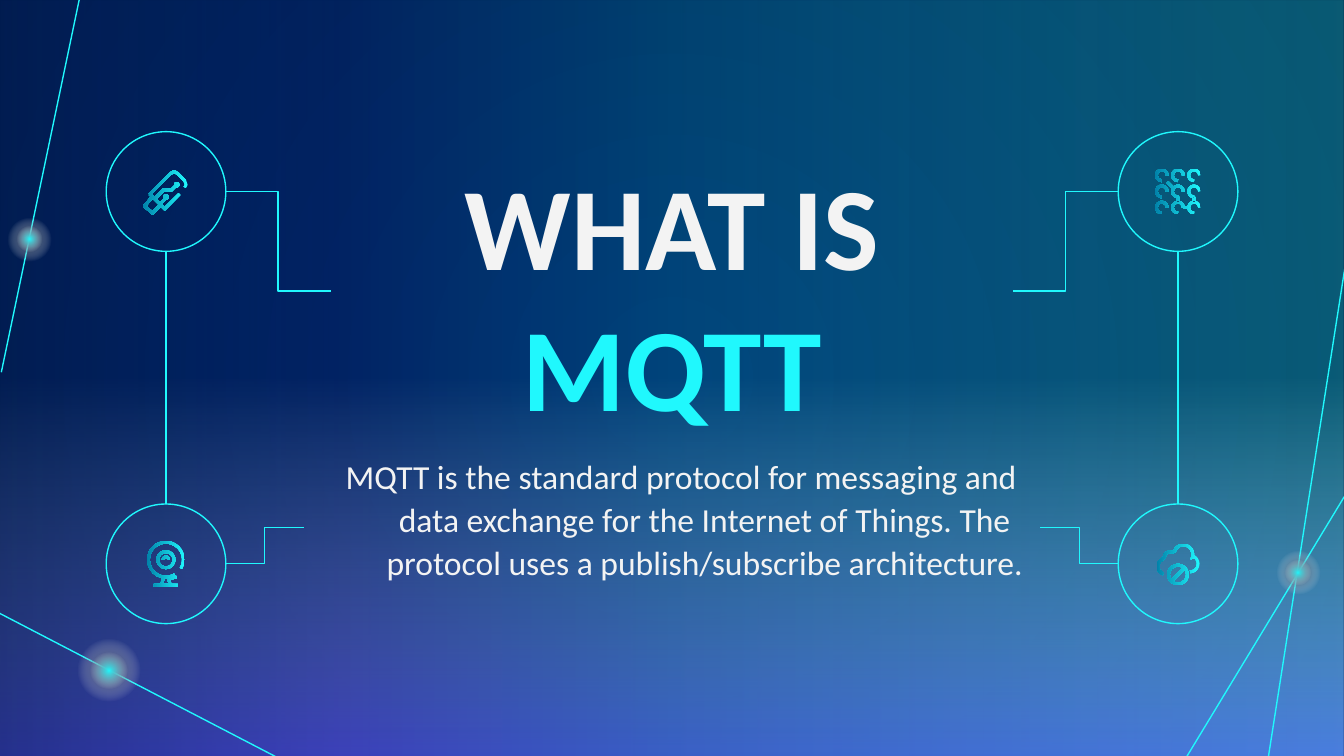
import math
import lxml.etree
import pptx
import pptx.dml.color
import pptx.enum.shapes
import pptx.enum.text
import pptx.oxml.ns
import pptx.util
from pptx.util import Inches

qn = pptx.oxml.ns.qn
RGB = pptx.dml.color.RGBColor
OVAL = pptx.enum.shapes.MSO_SHAPE.OVAL
RECT = pptx.enum.shapes.MSO_SHAPE.RECTANGLE
LINE = pptx.enum.shapes.MSO_CONNECTOR.STRAIGHT
ELBOW = pptx.enum.shapes.MSO_CONNECTOR.ELBOW
WIDE, TALL = 10, 10 * 9 / 16


class Theme:
    cyan, teal, navy, night = "20F8FD", "0182AA", "012060", "00183A"
    white, blue, violet, deep = "F3F3F3", "748BFF", "7659FF", "022E88"
    font = "Calibri"
    head, body = 63, 18
    thin = 0.75


def blend(node, stops, angle=None):
    """Swap the solid fill in node for a gradient; without angle it is radial."""
    grad = lxml.etree.Element(qn("a:gradFill"), rotWithShape="1")
    row = lxml.etree.SubElement(grad, qn("a:gsLst"))
    for pos, tint, alpha in stops:
        stop = lxml.etree.SubElement(row, qn("a:gs"), pos=str(pos * 1000))
        clr = lxml.etree.SubElement(stop, qn("a:srgbClr"), val=tint)
        if alpha < 100:
            lxml.etree.SubElement(clr, qn("a:alpha"), val=str(alpha * 1000))
    if angle is None:
        way = lxml.etree.SubElement(grad, qn("a:path"), path="circle")
        lxml.etree.SubElement(way, qn("a:fillToRect"),
                              {side: "50000" for side in "ltrb"})
    else:
        lxml.etree.SubElement(grad, qn("a:lin"), ang=str(angle * 60000), scaled="0")
    node.replace(node.find(qn("a:solidFill")), grad)


def shade(shape, stops, angle=None):
    """Give a shape a gradient and no line."""
    shape.shadow.inherit = False
    shape.line.fill.background()
    shape.fill.solid()
    blend(shape.element.spPr, stops, angle)


def link(slide, kind, start, end):
    line = slide.shapes.add_connector(kind, *map(Inches, (*start, *end)))
    line.line.color.rgb = RGB.from_string(Theme.cyan)
    line.line.width = pptx.util.Pt(Theme.thin)
    lxml.etree.SubElement(line.element.spPr, qn("a:effectLst"))


def glow(slide, x, y, size):
    """Two soft discs about the point x, y."""
    for tint, d in ((Theme.night, size), (Theme.cyan, size * 0.59)):
        disc = slide.shapes.add_shape(OVAL, *map(Inches, (x - d / 2, y - d / 2, d, d)))
        shade(disc, [(0, tint, 100), (50, Theme.white, 0), (100, Theme.white, 0)])


def backdrop(slide, box):
    slide.background.fill.solid()
    blend(slide.element.cSld.find(".//" + qn("p:bgPr")),
          [(0, Theme.navy, 100), (100, Theme.night, 100)])
    rise = [(0, Theme.blue, 0), (50, Theme.white, 0), (100, Theme.violet, 77)]
    sweep = [(0, Theme.cyan, 29), (50, Theme.teal, 36),
             (75, Theme.deep, 35), (100, Theme.navy, 60)]
    for stops, angle in ((rise, 90), (sweep, 180)):
        shade(slide.shapes.add_shape(RECT, *map(Inches, box)), stops, angle)
    for start, end in (((2.09, 5.65), (-0.01, 4.56)), ((8.83, 5.63), (10.03, 3.65)),
                       ((9.43, 5.68), (10.04, 1.78)), ((0.61, -0.1), (0.01, 2.77))):
        link(slide, LINE, start, end)
    for spot in ((9.66, 4.26, 0.46), (0.81, 4.99, 0.66), (0.22, 1.78, 0.46)):
        glow(slide, *spot)


def write(slide, box, parts, size, bold=False):
    """Centred text box; parts are pairs of text and colour."""
    frame = slide.shapes.add_textbox(*map(Inches, box)).text_frame
    frame.word_wrap = True
    frame.margin_left = frame.margin_right = Inches(0.1)
    frame.margin_top = frame.margin_bottom = Inches(0.1)
    para = frame.paragraphs[0]
    para.alignment = pptx.enum.text.PP_ALIGN.CENTER
    for text, tint in parts:
        run = para.add_run()
        run.text = text
        run.font.name, run.font.size = Theme.font, pptx.util.Pt(size)
        run.font.bold = bold
        run.font.color.rgb = RGB.from_string(tint)
    return para


def arc(x, y, r, start=0, end=360):
    """Points on a circle, in degrees clockwise from the right."""
    steps = max(6, (end - start) // 15)
    turns = [math.radians(start + (end - start) * i / steps) for i in range(steps + 1)]
    return [(x + r * math.cos(t), y + r * math.sin(t)) for t in turns]


def stick():
    return [[(-0.12, 0.02), (0.03, -0.13), (0.06, -0.15), (0.09, -0.13), (0.14, -0.08),
             (0.15, -0.05), (0.14, -0.03)],
            [(-0.12, 0.02), (-0.01, 0.13), (0.1, 0.02)],
            [(-0.11, 0.05), (-0.16, 0.11), (-0.1, 0.16), (-0.05, 0.11)],
            [(-0.08, 0.05), (-0.02, -0.01), (0.04, -0.01), (0.07, -0.04)],
            [(-0.04, 0.09), (-0.01, 0.06)],
            arc(0.08, -0.05, 0.01), arc(0, 0.04, 0.01)]


def camera():
    return [arc(0, -0.03, 0.13, 60, 390), arc(0, -0.03, 0.06),
            arc(0, -0.03, 0.02, 180, 360), [(-0.09, 0.16), (0.09, 0.16)],
            [(-0.02, 0.11), (-0.03, 0.15)], [(0.08, 0.1), (0.02, 0.11), (0.03, 0.15)]]


def dots():
    gap = 0.12
    rings = [arc(x, y, 0.04, 90, 360) for y in (-gap, 0, gap) for x in (-gap, 0, gap)]
    return rings + [[(-0.08, -0.07), (-0.04, -0.03)], [(0, 0.04), (0, 0.08)],
                    [(gap, 0.04), (gap, 0.08)], [(0.04, gap), (0.08, gap)]]


def cloud():
    edge = (arc(-0.09, 0.02, 0.06, 110, 240) + arc(-0.06, -0.05, 0.04, 180, 300)
            + arc(0.04, -0.07, 0.07, 200, 380) + arc(0.09, 0, 0.06, 300, 450))
    return [edge, arc(0, 0.08, 0.07), [(-0.04, 0.12), (0.04, 0.04)]]


def band(stroke, half=0.01):
    """Closed outline that runs along both sides of a stroke."""
    ways = []
    for (ax, ay), (bx, by) in zip(stroke, stroke[1:]):
        size = math.hypot(bx - ax, by - ay)
        ways.append(((bx - ax) / size, (by - ay) / size))
    near, far = [], []
    for (x, y), (px, py), (qx, qy) in zip(stroke, ways[:1] + ways, ways + ways[-1:]):
        reach = half / max(0.5, 1 + px * qx + py * qy)
        dx, dy = -(py + qy) * reach, (px + qx) * reach
        near.append((x + dx, y + dy))
        far.append((x - dx, y - dy))
    return near + far[::-1]


def icon(slide, x, y, strokes):
    """Draw strokes about x, y as one outline, brighter to the right."""
    path = None
    for stroke in strokes:
        pts = [(Inches(x + dx), Inches(y + dy)) for dx, dy in band(stroke)]
        if path is None:
            path = slide.shapes.build_freeform(*pts[0])
        else:
            path.move_to(*pts[0])
        path.add_line_segments(pts[1:], close=True)
    shade(path.convert_to_shape(), [(0, Theme.cyan, 100), (100, Theme.teal, 100)], 180)


def rail(slide, box, side, icons):
    """Two ringed icons joined by a line, with elbows; side 1 points right, -1 left."""
    left, top, size, tall = box
    mid = left + size / 2
    link(slide, LINE, (mid, top + size), (mid, top + tall - size))
    rows = (top + size / 2, top + tall - size / 2)
    for y, draw, (dx, dy) in zip(rows, icons, ((0.78, 0.74), (0.58, -0.27))):
        ring = slide.shapes.add_shape(OVAL, *map(Inches, (left, y - size / 2, size, size)))
        ring.shadow.inherit = False
        ring.fill.background()
        ring.line.color.rgb = RGB.from_string(Theme.cyan)
        ring.line.width = pptx.util.Pt(Theme.thin)
        edge = mid + side * size / 2
        link(slide, ELBOW, (edge, y), (edge + side * dx, y + dy))
        icon(slide, mid, y, draw())


def words(slide, box):
    left, top, wide, tall = box
    write(slide, (left + 0.2, top, wide - 0.39, 2.26),
          [("WHAT IS ", Theme.white), ("MQTT", Theme.cyan)], Theme.head, True)
    para = write(slide, (left, top + 2.23, wide, tall - 2.23),
                 [("MQTT is the standard protocol for messaging and data exchange for "
                   "the Internet of Things. The protocol uses a publish/subscribe "
                   "architecture.", Theme.white)], Theme.body)
    para.line_spacing = 1.07
    para.space_after = pptx.util.Pt(8)
    props = para._p.get_or_add_pPr()
    props.set("marL", str(Inches(0.5)))
    props.set("indent", str(Inches(-0.35)))


def main():
    deck = pptx.Presentation()
    deck.slide_width, deck.slide_height = Inches(WIDE), Inches(TALL)
    slide = deck.slides.add_slide(deck.slide_layouts[6])
    backdrop(slide, (0, 0, WIDE, TALL))
    words(slide, (2.26, 1.04, 5.47, 3.55))
    rail(slide, (0.79, 0.98, 0.89, 3.66), 1, (stick, camera))
    rail(slide, (8.32, 0.98, 0.89, 3.66), -1, (dots, cloud))
    deck.save("out.pptx")


if __name__ == "__main__":
    main()
